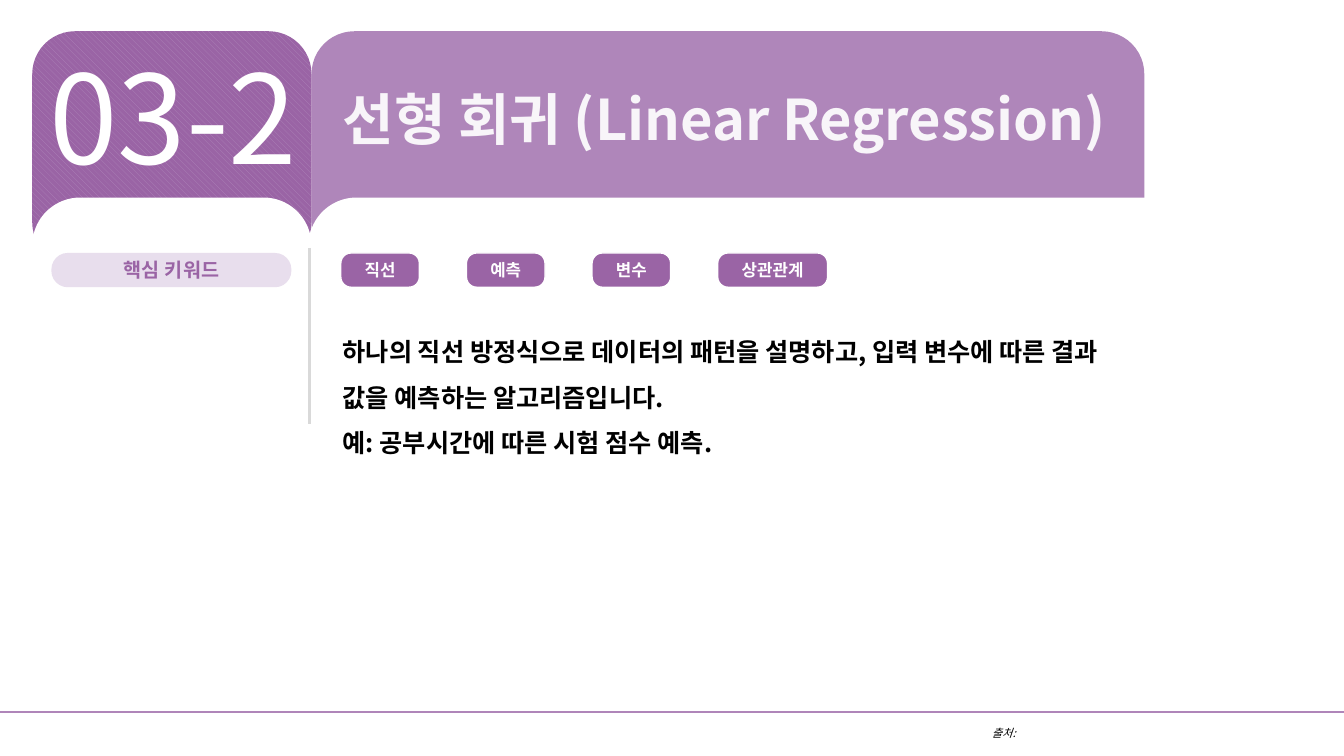
from pptx import Presentation
from pptx.dml.color import RGBColor
from pptx.enum.dml import MSO_PATTERN
from pptx.enum.shapes import MSO_CONNECTOR, MSO_SHAPE
from pptx.enum.text import MSO_ANCHOR, MSO_AUTO_SIZE, PP_ALIGN
from pptx.oxml.ns import qn
from pptx.util import Inches, Pt

KOREAN = "Noto Sans CJK KR"
PURPLE, LILAC, PALE, WHITE, BLACK = "9A64A5", "AF86BA", "E8DEED", "FFFFFF", "000000"


def color(value):
    return RGBColor.from_string(value)


def add_run(p, text, size, ink, font=KOREAN, **formats):
    r = p.add_run()
    r.text = text
    r.font.color.rgb = color(ink)
    for name, value in {"size": Pt(size), "name": font, **formats}.items():
        setattr(r.font, name, value)
    # East Asian letters take their own typeface entry
    ea = r.font._element.makeelement(qn("a:ea"), {"typeface": font})
    r.font._element.find(qn("a:latin")).addnext(ea)


def add_round(s, box, radius, fill, line=None):
    sp = s.shapes.add_shape(MSO_SHAPE.ROUNDED_RECTANGLE, *map(Inches, box))
    sp.adjustments[0] = radius
    sp.shadow.inherit = False
    sp.fill.solid()
    sp.fill.fore_color.rgb = color(fill)
    if line:
        sp.line.color.rgb = color(line)
        sp.line.width = Pt(1)
    else:
        sp.line.fill.background()
    return sp


def add_label(s, box, radius, fill, text, size, ink, font=KOREAN, line=None):
    sp = add_round(s, box, radius, fill, line)
    tf = sp.text_frame
    tf.vertical_anchor = MSO_ANCHOR.MIDDLE
    p = tf.paragraphs[0]
    p.alignment = PP_ALIGN.CENTER
    add_run(p, text, size, ink, font, bold=True)


def add_text(s, box, lines, size, ink, wrap=True, spacing=None, **formats):
    tf = s.shapes.add_textbox(*map(Inches, box)).text_frame
    tf.word_wrap = wrap
    tf.auto_size = MSO_AUTO_SIZE.SHAPE_TO_FIT_TEXT
    for i, line in enumerate(lines):
        p = tf.add_paragraph() if i else tf.paragraphs[0]
        p.line_spacing = spacing
        add_run(p, line, size, ink, **formats)


def add_rule(s, x1, y1, x2, y2, ink):
    rule = s.shapes.add_connector(MSO_CONNECTOR.STRAIGHT, *map(Inches, (x1, y1, x2, y2)))
    rule.line.color.rgb = color(ink)
    rule.line.width = Pt(1.5)
    props = rule._element.spPr
    props.append(props.makeelement(qn("a:effectLst"), {}))


def main():
    prs = Presentation()
    prs.slide_width, prs.slide_height = Inches(13.33), Inches(7.5)
    s = prs.slides.add_slide(prs.slide_layouts[6])

    # Header tabs, with white rounded panels over their lower part
    number_tab = add_round(s, (0.32, 0.31, 2.77, 2.32), 0.183, PURPLE)
    number_tab.fill.patterned()
    number_tab.fill.pattern = MSO_PATTERN.WIDE_DOWNWARD_DIAGONAL
    number_tab.fill.fore_color.rgb = color(LILAC)
    number_tab.fill.back_color.rgb = color(PURPLE)
    add_round(s, (3.09, 0.31, 8.26, 2.32), 0.183, LILAC)
    for left, width in ((0.32, 2.77), (3.06, 8.89)):
        add_round(s, (left, 1.96, width, 1.86), 0.256, WHITE)

    # Keywords
    add_label(s, (0.51, 2.51, 2.38, 0.34), 0.478, PALE, "핵심 키워드", 14, PURPLE, "Arial")
    add_rule(s, 3.07, 2.46, 3.07, 4.21, "D9D9D9")
    for i, keyword in enumerate(("직선", "예측", "변수", "상관관계")):
        width = 0.78 if len(keyword) == 2 else 1.09
        add_label(s, (3.38 + 1.246 * i, 2.51, width, 0.34), 0.299, PURPLE,
                  keyword, 12, WHITE, line=WHITE)

    # Description
    add_text(s, (3.3, 3.14, 7.95, 1.41), (
        "하나의 직선 방정식으로 데이터의 패턴을 설명하고, 입력 변수에 따른 결과 값을 예측하는 알고리즘입니다.",
        "예: 공부시간에 따른 시험 점수 예측.",
    ), 18, BLACK, spacing=1.5, bold=True)

    # Footer
    add_text(s, (9.74, 7.16, 3.6, 0.24), ["출처:"], 8, BLACK, italic=True)
    add_rule(s, 0, 7.06, 13.33, 7.06, "AF85B9")

    # Section number and title
    add_text(s, (0.39, 0.36, 2.75, 1.58), ["03-2"], 88, WHITE, wrap=False)
    add_text(s, (3.3, 0.79, 7.96, 0.77), ["선형 회귀 (Linear Regression)"], 40, "F8F5F9",
             wrap=False, bold=True)

    prs.save("out.pptx")


if __name__ == "__main__":
    main()
